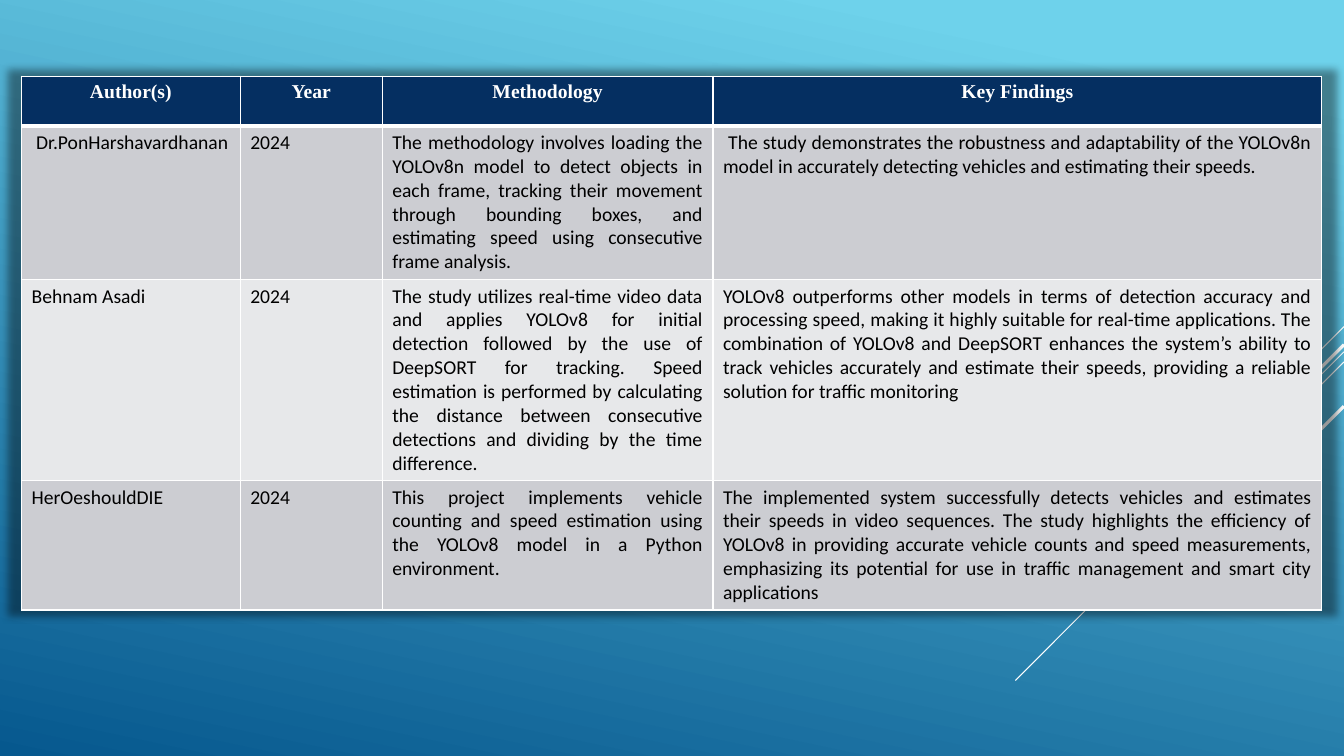
"""Build a literature survey slide: a four-column table over a blue gradient."""
from lxml.etree import SubElement
from pptx import Presentation
from pptx.dml.color import RGBColor
from pptx.enum.shapes import MSO_CONNECTOR
from pptx.enum.text import PP_ALIGN
from pptx.oxml import parse_xml
from pptx.oxml.ns import nsdecls, qn
from pptx.util import Pt


def rgb(color):
    return RGBColor.from_string(color)


def border(side, width):
    return parse_xml(
        f'<a:{side} {nsdecls("a")} w="{Pt(width)}"><a:solidFill>'
        f'<a:srgbClr val="FFFFFF"/></a:solidFill></a:{side}>')


WIDTHS = [156.2, 101.5, 236.2, 434.9]
HEIGHTS = [35.4, 109.7, 143.6, 92.6]
FILLS = ["052F61", "CCCDD2", "E7E8EA", "CCCDD2"]
ROWS = [
    ["Author(s)", "Year", "Methodology", "Key Findings"],
    [" Dr.PonHarshavardhanan", "2024",
     "The methodology involves loading the YOLOv8n model to detect objects in each frame, "
     "tracking their movement through bounding boxes, and estimating speed using "
     "consecutive frame analysis.",
     " The study demonstrates the robustness and adaptability of the YOLOv8n model in "
     "accurately detecting vehicles and estimating their speeds."],
    ["Behnam Asadi", "2024",
     "The study utilizes real-time video data and applies YOLOv8 for initial detection "
     "followed by the use of DeepSORT for tracking. Speed estimation is performed by "
     "calculating the distance between consecutive detections and dividing by the time "
     "difference.",
     "YOLOv8 outperforms other models in terms of detection accuracy and processing speed, "
     "making it highly suitable for real-time applications. The combination of YOLOv8 and "
     "DeepSORT enhances the system’s ability to track vehicles accurately and estimate "
     "their speeds, providing a reliable solution for traffic monitoring"],
    ["HerOeshouldDIE", "2024",
     "This project implements vehicle counting and speed estimation using the YOLOv8 model "
     "in a Python environment.",
     "The implemented system successfully detects vehicles and estimates their speeds in "
     "video sequences. The study highlights the efficiency of YOLOv8 in providing accurate "
     "vehicle counts and speed measurements, emphasizing its potential for use in traffic "
     "management and smart city applications"],
]
HEAD = {"name": "Times New Roman", "size": Pt(14), "bold": True}
BODY = {"name": "Calibri", "size": Pt(14), "bold": False}

prs = Presentation()
prs.slide_width, prs.slide_height = Pt(960), Pt(540)
s = prs.slides.add_slide(prs.slide_layouts[6])

fill = s.background.fill
fill.gradient()
fill.gradient_angle = 258
for stop, (pos, color) in zip(fill.gradient_stops, [(0.1, "6ED2EB"), (1, "06588E")]):
    stop.position = pos
    stop.color.rgb = rgb(color)

for top, run, weight in [(233.3, 72, 0.75), (251.3, 234.7, 0.75), (258.5, 149.4, 0.75),
                         (246.2, 137.5, 2.25), (290.2, 100.1, 2.25)]:
    ray = s.shapes.add_connector(
        MSO_CONNECTOR.STRAIGHT, Pt(960), Pt(top), Pt(960 - run), Pt(top + run))
    ray.line.color.rgb = rgb("FFFFFF")
    ray.line.width = Pt(weight)
    SubElement(ray._element.spPr, qn("a:effectLst"))

frame = s.shapes.add_table(4, 4, Pt(15.4), Pt(54.5), Pt(sum(WIDTHS)), Pt(sum(HEIGHTS)))
table = frame.table
table._tbl.tblPr.insert(0, parse_xml(
    f'<a:effectLst {nsdecls("a")}><a:outerShdw blurRad="{Pt(5)}" sx="102000" sy="102000" '
    'algn="ctr" rotWithShape="0"><a:srgbClr val="000000"><a:alpha val="40000"/>'
    '</a:srgbClr></a:outerShdw></a:effectLst>'))
for col, width in zip(table.columns, WIDTHS):
    col.width = Pt(width)

for i, texts in enumerate(ROWS):
    table.rows[i].height = Pt(HEIGHTS[i])
    for j, text in enumerate(texts):
        cell = table.cell(i, j)
        cell.fill.solid()
        cell.fill.fore_color.rgb = rgb(FILLS[i])
        edges = {"lnL": 1, "lnR": 1, "lnT": 3 if i == 1 else 1, "lnB": 3 if i == 0 else 1}
        for k, (side, width) in enumerate(edges.items()):
            cell._tc.tcPr.insert(k, border(side, width))
        p = cell.text_frame.paragraphs[0]
        p.alignment = PP_ALIGN.JUSTIFY if i else PP_ALIGN.CENTER
        r = p.add_run()
        r.text = text
        for key, value in (BODY if i else HEAD).items():
            setattr(r.font, key, value)
        r.font.color.rgb = rgb("000000" if i else "FFFFFF")

prs.save("out.pptx")
